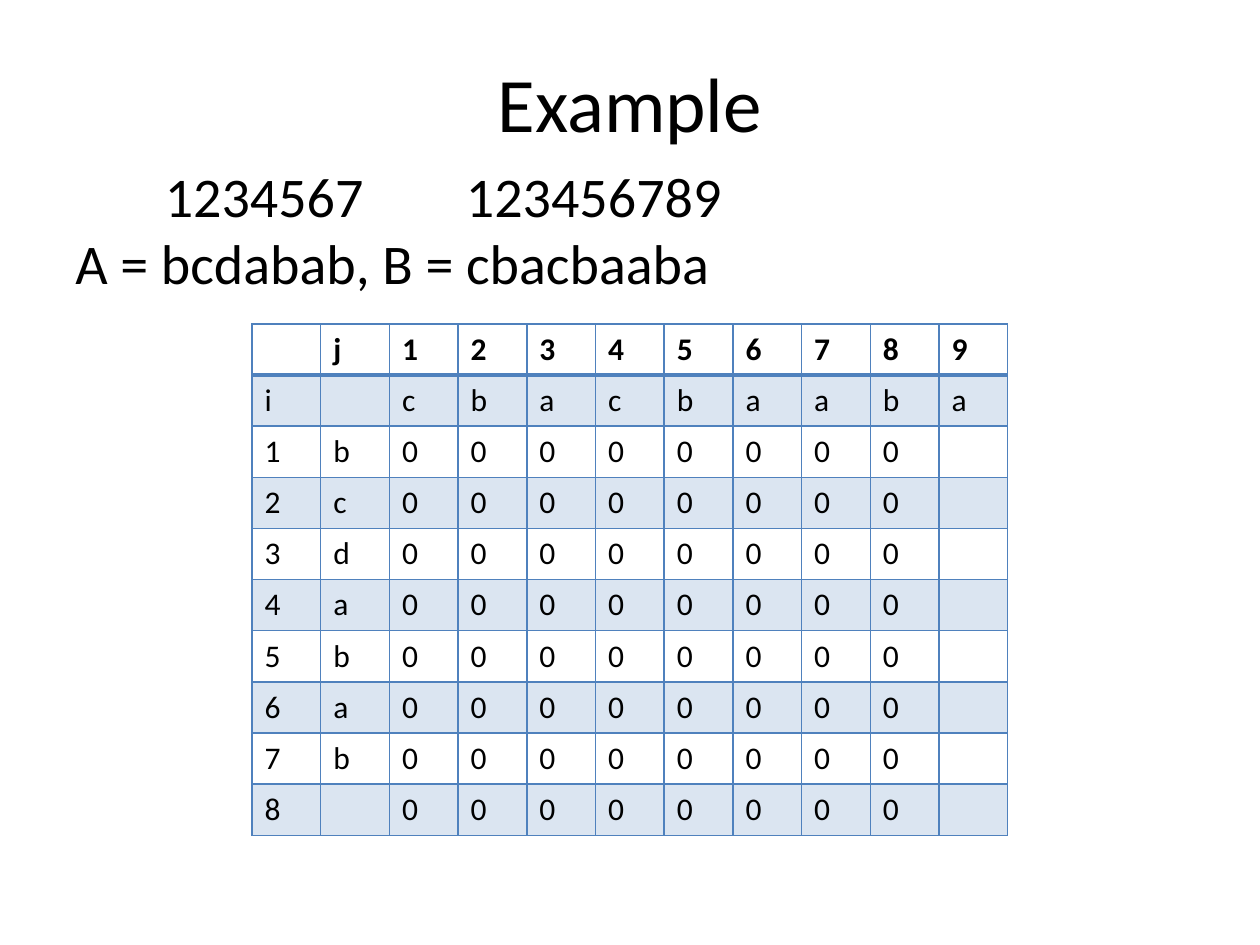
from dataclasses import dataclass

from lxml import etree
from pptx import Presentation
from pptx import util as u
from pptx.dml.color import RGBColor
from pptx.enum import text
from pptx.oxml import ns


@dataclass(frozen=True)
class Theme:
    font: str = "Calibri"
    ink: str = "000000"
    blue: str = "4F81BD"
    tint: int = 20
    title: int = 44
    body: int = 32
    cell: int = 18
    thin: int = 1
    thick: int = 2


THEME = Theme()
A = "bcdabab"
B = "cbacbaaba"


def style(par, size, bold=False):
    for run in par.runs:
        font = run.font
        font.name = THEME.font
        font.size = u.Pt(size)
        font.bold = bold
        font.color.rgb = RGBColor.from_string(THEME.ink)


def add_sub(node, tag, **attrs):
    return etree.SubElement(node, ns.qn(tag), **attrs)


def add_text(slide, box, words, size, align, anchor, stops=()):
    frame = slide.shapes.add_textbox(*map(u.Inches, box)).text_frame
    frame.word_wrap = True
    frame.vertical_anchor = anchor
    par = frame.paragraphs[0]
    par.text = words
    par.alignment = align
    if stops:
        tabs = add_sub(par._p.get_or_add_pPr(), "a:tabLst")
        for stop in stops:
            add_sub(tabs, "a:tab", pos=str(u.Inches(stop)), algn="l")
    style(par, size)


def set_edges(cell, row):
    props = cell._tc.get_or_add_tcPr()
    heavy = {0: "B", 1: "T"}.get(row)
    for side in "LRTB":
        width = THEME.thick if side == heavy else THEME.thin
        line = add_sub(props, f"a:ln{side}", w=str(u.Pt(width)))
        fill = add_sub(line, "a:solidFill")
        add_sub(fill, "a:srgbClr", val=THEME.blue)


def set_fill(cell, banded):
    if not banded:
        cell.fill.background()
        return
    cell.fill.solid()
    cell.fill.fore_color.rgb = RGBColor.from_string(THEME.blue)
    color = cell._tc.tcPr.find(".//" + ns.qn("a:solidFill") + "[last()]")
    color = cell._tc.tcPr.findall(ns.qn("a:solidFill"))[-1][0]
    add_sub(color, "a:alpha", val=str(THEME.tint * 1000))


def make_rows():
    head = ["", "j"] + [str(n) for n in range(1, len(B) + 1)]
    rows = [head, ["i", ""] + list(B)]
    zeros = ["0"] * (len(B) - 1) + [""]
    for num, mark in enumerate([*A, ""], 1):
        rows.append([str(num), mark] + zeros)
    return rows


def add_grid(slide, box, rows):
    frame = slide.shapes.add_table(len(rows), len(rows[0]), *map(u.Inches, box))
    table = frame.table
    for col in table.columns:
        col.width = u.Inches(box[2] / len(rows[0]))
    for r, row in enumerate(rows):
        table.rows[r].height = u.Inches(box[3] / len(rows))
        for c, word in enumerate(row):
            cell = table.cell(r, c)
            cell.text = word
            style(cell.text_frame.paragraphs[0], THEME.cell, r == 0)
            set_edges(cell, r)
            set_fill(cell, r % 2 == 1)


def main():
    deck = Presentation()
    deck.slide_width = u.Inches(10)
    deck.slide_height = u.Inches(7.5)
    slide = deck.slides.add_slide(deck.slide_layouts[6])
    add_text(slide, (0.5, 0.3, 9, 1.01), "Example", THEME.title,
             text.PP_ALIGN.CENTER, text.MSO_ANCHOR.MIDDLE)
    add_text(slide, (0.5, 1.23, 9, 5.31),
             f"\t1234567\t123456789\vA = {A}, B = {B}", THEME.body,
             text.PP_ALIGN.LEFT, text.MSO_ANCHOR.TOP, (0.71, 3.1))
    add_grid(slide, (2, 2.57, 6, 4.06), make_rows())
    deck.save("out.pptx")


if __name__ == "__main__":
    main()
